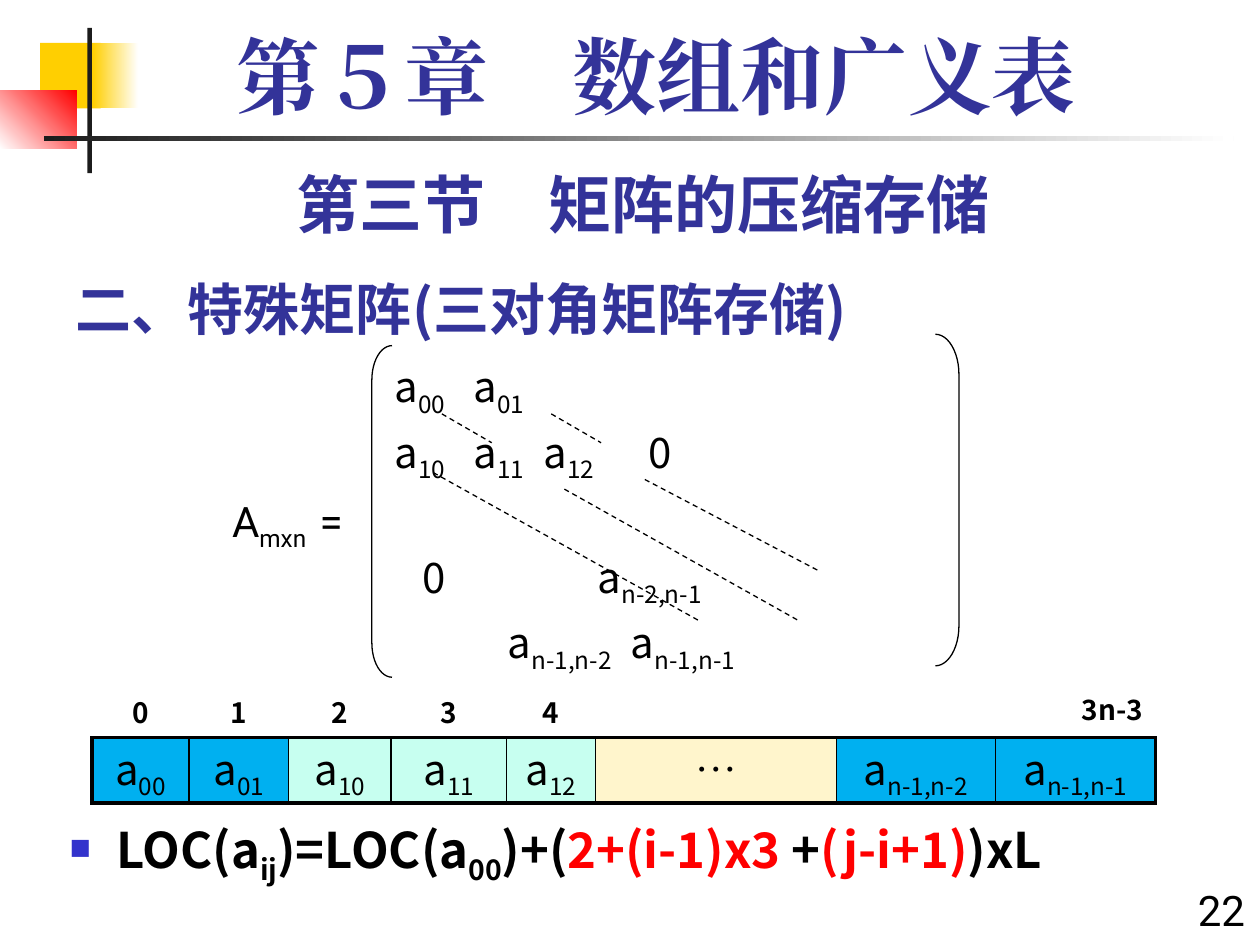
from dataclasses import dataclass
from lxml.etree import SubElement
from pptx import Presentation
from pptx.dml.color import RGBColor
from pptx.enum.dml import MSO_LINE
from pptx.enum.shapes import MSO_CONNECTOR, MSO_SHAPE
from pptx.enum.text import MSO_ANCHOR, PP_ALIGN
from pptx.oxml.ns import qn
from pptx.util import Pt


@dataclass(frozen=True)
class Theme:
    """Colours, fonts and type sizes of the deck."""
    ink: str = "000000"
    navy: str = "333399"
    red: str = "FF0000"
    gold: str = "FFCF01"
    coal: str = "1C1C1C"
    white: str = "FFFFFF"
    bullet: str = "3333CC"
    blue: str = "00B0F0"
    mint: str = "C7FFF0"
    cream: str = "FFF5CC"
    sans: str = "Noto Sans CJK SC"
    plain: str = "Roboto"
    serif: str = "Times New Roman"
    chapter: int = 48
    section: int = 36
    title: int = 32
    formula: int = 28
    body: int = 24
    index: int = 16


T = Theme()
CENTER, RIGHT = PP_ALIGN.CENTER, PP_ALIGN.RIGHT


def rgb(code):
    """Turn a hex code into a colour."""
    return RGBColor.from_string(code)


def write(para, text, size=T.body, font=T.sans, color=T.ink, bold=False,
          align=None, pitch=None, before=None, tabs=()):
    """Add text to a paragraph; parts in [brackets] become subscripts."""
    if align is not None:
        para.alignment = align
    if pitch:
        para.line_spacing = pitch
    if before is not None:
        para.space_before = Pt(before)
    if tabs:
        stops = SubElement(para._p.get_or_add_pPr(), qn("a:tabLst"))
        for pos in tabs:
            SubElement(stops, qn("a:tab"), pos=str(Pt(pos)), algn="l")
    for i, part in enumerate(text.replace("]", "[").split("[")):
        if i and not part:
            continue
        run = para.add_run()
        run.text = part
        run.font.size, run.font.bold = Pt(size), bold
        run.font.color.rgb = rgb(color)
        run.font.name = font
        props = run.font._element
        SubElement(props, qn("a:ea"), typeface=font)
        if i % 2:
            props.set("baseline", "-25000")


def frame(slide, x, y, w, h):
    """Add a wrapping text box and return its text frame."""
    area = slide.shapes.add_textbox(Pt(x), Pt(y), Pt(w), Pt(h)).text_frame
    area.word_wrap = True
    return area


def label(slide, x, y, w, h, text, **form):
    """Add a text box of one paragraph."""
    write(frame(slide, x, y, w, h).paragraphs[0], text, **form)


def block(slide, x, y, w, h, start, end=None, angle=0):
    """Add a plain or graded rectangle."""
    box = slide.shapes.add_shape(MSO_SHAPE.RECTANGLE, Pt(x), Pt(y), Pt(w), Pt(h))
    box.shadow.inherit = False
    box.line.fill.background()
    if end is None:
        box.fill.solid()
        box.fill.fore_color.rgb = rgb(start)
        return
    box.fill.gradient()
    box.fill.gradient_angle = angle
    for stop, code in zip(box.fill.gradient_stops, (start, end)):
        stop.color.rgb = rgb(code)


def motif(slide, x, y):
    """Draw the corner squares and the two rules."""
    block(slide, x + 23, y + 8.5, 34.5, 37.5, T.gold)
    block(slide, x + 53, y + 8.5, 26, 37.5, T.gold, T.white)
    block(slide, x, y + 36, 44, 33, T.white, T.red, 45)
    block(slide, x + 50, y, 2.5, 83, T.coal)
    block(slide, x + 25, y + 62, 680, 2.5, T.coal, T.white)


def heads(slide):
    """Place the chapter, the section and the title."""
    label(slide, 48, 17, 654, 60, "第５章　数组和广义表", size=T.chapter,
          font=T.serif, color=T.navy, bold=True, align=CENTER, pitch=0.9)
    label(slide, 34.5, 91, 666, 50, "第三节　矩阵的压缩存储", size=T.section,
          font=T.plain, color=T.navy, bold=True, align=CENTER)
    title = slide.shapes.title
    title.left, title.top, title.width, title.height = Pt(36), Pt(145), Pt(572), Pt(54)
    title.text_frame.vertical_anchor = MSO_ANCHOR.BOTTOM
    write(title.text_frame.paragraphs[0], "二、特殊矩阵(三对角矩阵存储)",
          size=T.title, color=T.navy, bold=True, align=PP_ALIGN.LEFT)


def matrix(slide, x, y):
    """Draw the matrix with its name, brackets and diagonals."""
    for kind, dx, dy, w in ((MSO_SHAPE.LEFT_BRACKET, 87, 6.5, 11.5),
                            (MSO_SHAPE.RIGHT_BRACKET, 409, 0, 13.5)):
        side = slide.shapes.add_shape(kind, Pt(x + dx), Pt(y + dy), Pt(w), Pt(189.5))
        side.shadow.inherit = False
        side.fill.background()
        side.line.color.rgb, side.line.width = rgb(T.ink), Pt(0.75)
        side.adjustments[0] = 1.7
    rows = (("a[00]\ta[01]", 0, (45,)),
            ("a[10]\ta[11]\ta[12]\t0", 4.8, (45, 85, 145)),
            ("\t0\ta[n-2,n-1]", 38.5, (16, 116)),
            ("\ta[n-1,n-2]\ta[n-1,n-1]", 4.8, (64.5, 135)))
    area = frame(slide, x + 93, y + 11.5, 343, 181)
    for i, (text, gap, tabs) in enumerate(rows):
        para = area.add_paragraph() if i else area.paragraphs[0]
        write(para, text, before=gap, tabs=tabs)
    label(slide, x, y + 88.5, 99, 36, "A[mxn]\t=", font=T.plain, tabs=(50,))
    for dx, dy, w, h in ((197, 88.5, 134.5, 75.5), (243, 83, 99, 52),
                         (122, 79, 152.5, 85), (127, 45.5, 28.5, 16.5),
                         (189.5, 45.5, 28.5, 16.5)):
        dash = slide.shapes.add_connector(
            MSO_CONNECTOR.STRAIGHT, Pt(x + dx), Pt(y + dy), Pt(x + dx + w), Pt(y + dy + h))
        dash.line.color.rgb, dash.line.width = rgb(T.ink), Pt(0.75)
        dash.line.dash_style = MSO_LINE.DASH
        SubElement(dash._element.spPr, qn("a:effectLst"))


def border(cell, **sides):
    """Line the named sides of a cell, before its fill is set."""
    props = cell._tc.get_or_add_tcPr()
    for side, width in sides.items():
        line = SubElement(props, qn("a:ln" + side), w=str(Pt(width)))
        SubElement(SubElement(line, qn("a:solidFill")), qn("a:srgbClr"), val=T.ink)


def store(slide, x, y):
    """Build the table of stored elements under their indices."""
    widths = (55.5, 57, 58.5, 66, 51, 39.5, 73.5, 24.5, 78, 13, 91.5)
    grid = slide.shapes.add_table(2, len(widths), Pt(x), Pt(y), Pt(sum(widths)), Pt(62)).table
    grid.first_row = grid.horz_banding = False
    for col, width in zip(grid.columns, widths):
        col.width = Pt(width)
    for row, height in zip(grid.rows, (24.5, 37.5)):
        row.height = Pt(height)
    for row, first, last in ((0, 9, 10), (1, 5, 7), (1, 8, 9)):
        grid.cell(row, first).merge(grid.cell(row, last))
    items = {0: ("a[00]", T.blue), 1: ("a[01]", T.blue), 2: ("a[10]", T.mint),
             3: ("a[11]", T.mint), 4: ("a[12]", T.mint), 5: ("…", T.cream),
             8: ("a[n-1,n-2]", T.blue), 10: ("a[n-1,n-1]", T.blue)}
    for i in range(len(widths)):
        top, low = grid.cell(0, i), grid.cell(1, i)
        for cell in (top, low):
            cell.margin_top = cell.margin_bottom = 0
        border(top, B=1.5)
        top.fill.background()
        last = i == 9
        write(top.text_frame.paragraphs[0],
              str(i) if i < 5 else "3n-3" if last else "", size=T.index,
              bold=True, align=RIGHT if last else CENTER, pitch=0.8 if last else 0.9)
        if i in items:
            text, tint = items[i]
            border(low, L=1 if i else 2.25, R=2.25 if i == 10 else 1, T=1.5, B=2.25)
            low.fill.solid()
            low.fill.fore_color.rgb = rgb(tint)
            write(low.text_frame.paragraphs[0], text, align=CENTER, pitch=0.9,
                  font=T.serif if text == "…" else T.sans)


def formula(slide, x, y, w, h):
    """Write the bulleted address formula."""
    para = frame(slide, x, y, w, h).paragraphs[0]
    props = para._p.get_or_add_pPr()
    props.set("marL", str(Pt(27)))
    props.set("indent", str(Pt(-27)))
    SubElement(SubElement(props, qn("a:buClr")), qn("a:srgbClr"), val=T.bullet)
    SubElement(props, qn("a:buSzPct"), val="60000")
    SubElement(props, qn("a:buChar"), char="■")
    for text, color in (("LOC(a[ij])=LOC(a[00])+(", T.ink), ("2+(i-1)x3 ", T.red),
                        ("+", T.ink), ("(j-i+1)", T.red), (")xL", T.ink)):
        write(para, text, size=T.formula, color=color, bold=True)


def main():
    """Build and save the slide."""
    deck = Presentation()
    deck.slide_width, deck.slide_height = Pt(720), Pt(540)
    slide = deck.slides.add_slide(deck.slide_layouts[5])
    motif(slide, 0, 16)
    heads(slide)
    matrix(slide, 125.5, 191)
    store(slide, 52.5, 397)
    formula(slide, 32.5, 464.5, 695, 49)
    label(slide, 670, 502, 48.5, 36, "22", font=T.plain, align=RIGHT)
    deck.save("out.pptx")


main()
